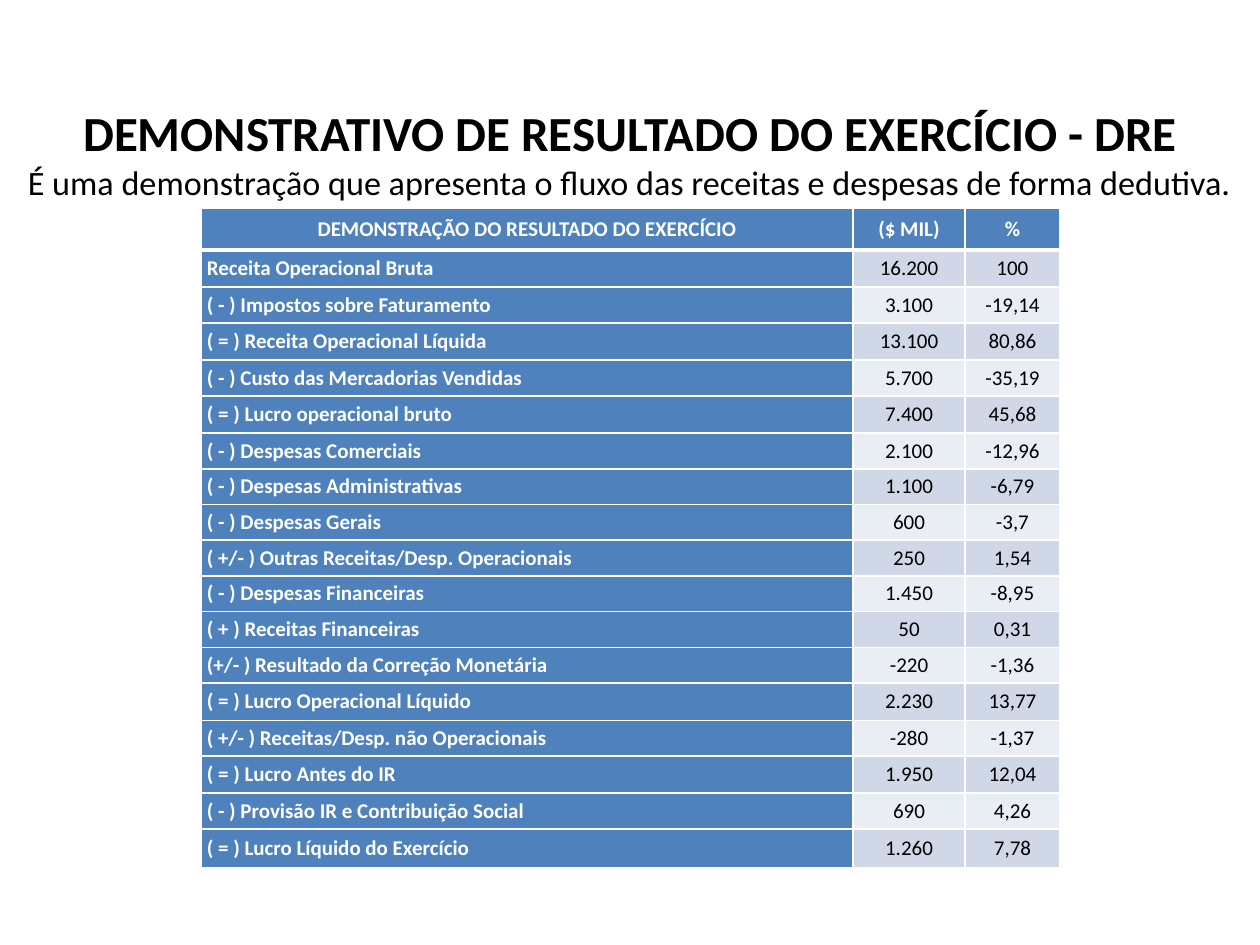
import dataclasses
import typing

import lxml.etree
import pptx
import pptx.dml.color
import pptx.enum.text
import pptx.oxml.ns
import pptx.util

Cm = pptx.util.Cm
Pt = pptx.util.Pt
Align = pptx.enum.text.PP_ALIGN
Anchor = pptx.enum.text.MSO_ANCHOR


@dataclasses.dataclass(frozen=True)
class Theme:
    font: str = "Calibri"
    black: str = "000000"
    white: str = "FFFFFF"
    blue: str = "4F81BD"
    bands: tuple[str, str] = ("D0D8E8", "E9EDF4")
    title_size: float = 28
    subtitle_size: float = 19.5
    table_size: float = 12
    border: float = 1
    header_border: float = 3


class Entry(typing.NamedTuple):
    label: str
    amount: str
    percent: str


THEME = Theme()
TITLE = "DEMONSTRATIVO DE RESULTADO DO EXERCÍCIO - DRE"
SUBTITLE = "É uma demonstração que apresenta o fluxo das receitas e despesas de forma dedutiva."
COLUMN_WIDTHS = (13.15, 2.25, 1.92)
HEADER_HEIGHT, TOTAL_HEIGHT, ITEM_HEIGHT, LAST_HEIGHT = 0.84, 0.75, 0.72, 0.79

HEADER = Entry("DEMONSTRAÇÃO DO RESULTADO DO EXERCÍCIO", "($ MIL)", "%")
ENTRIES = [
    Entry("Receita Operacional Bruta", "16.200", "100"),
    Entry("( - ) Impostos sobre Faturamento", "3.100", "-19,14"),
    Entry("( = ) Receita Operacional Líquida", "13.100", "80,86"),
    Entry("( - ) Custo das Mercadorias Vendidas", "5.700", "-35,19"),
    Entry("( = ) Lucro operacional bruto", "7.400", "45,68"),
    Entry("( - ) Despesas Comerciais", "2.100", "-12,96"),
    Entry("( - ) Despesas Administrativas", "1.100", "-6,79"),
    Entry("( - ) Despesas Gerais", "600", "-3,7"),
    Entry("( +/- ) Outras Receitas/Desp. Operacionais", "250", "1,54"),
    Entry("( - ) Despesas Financeiras", "1.450", "-8,95"),
    Entry("( + ) Receitas Financeiras", "50", "0,31"),
    Entry("(+/- ) Resultado da Correção Monetária", "-220", "-1,36"),
    Entry("( = ) Lucro Operacional Líquido", "2.230", "13,77"),
    Entry("( +/- ) Receitas/Desp. não Operacionais", "-280", "-1,37"),
    Entry("( = ) Lucro Antes do IR", "1.950", "12,04"),
    Entry("( - ) Provisão IR e Contribuição Social", "690", "4,26"),
    Entry("( = ) Lucro Líquido do Exercício", "1.260", "7,78"),
]


def format_para(para, size: float, color: str, bold: bool, align) -> None:
    para.alignment = align
    for span in para.runs:
        span.font.name = THEME.font
        span.font.size = Pt(size)
        span.font.bold = bold
        span.font.color.rgb = pptx.dml.color.RGBColor.from_string(color)


def set_borders(cell, top: float, bottom: float) -> None:
    properties = cell._tc.get_or_add_tcPr()
    widths = {"lnL": THEME.border, "lnR": THEME.border, "lnT": top, "lnB": bottom}
    for position, (tag, width) in enumerate(widths.items()):
        line = lxml.etree.Element(pptx.oxml.ns.qn(f"a:{tag}"), w=str(Pt(width)))
        fill = lxml.etree.SubElement(line, pptx.oxml.ns.qn("a:solidFill"))
        lxml.etree.SubElement(fill, pptx.oxml.ns.qn("a:srgbClr"), val=THEME.white)
        properties.insert(position, line)


def row_height(row: int) -> float:
    if row == 0:
        return HEADER_HEIGHT
    if row == len(ENTRIES):
        return LAST_HEIGHT
    is_total = row == 1 or ENTRIES[row - 1].label.startswith("( = )")
    return TOTAL_HEIGHT if is_total else ITEM_HEIGHT


def fill_cell(cell, text: str, row: int, column: int) -> None:
    strong = row == 0 or column == 0
    background = THEME.blue if strong else THEME.bands[(row - 1) % 2]
    cell.fill.solid()
    cell.fill.fore_color.rgb = pptx.dml.color.RGBColor.from_string(background)
    cell.margin_left = cell.margin_right = Cm(0.12)
    cell.margin_top = cell.margin_bottom = 0
    cell.vertical_anchor = Anchor.MIDDLE
    cell.text_frame.text = text
    align = Align.JUSTIFY if column == 0 and row > 0 else Align.CENTER
    color = THEME.white if strong else THEME.black
    format_para(cell.text_frame.paragraphs[0], THEME.table_size, color, strong, align)
    set_borders(
        cell,
        top=THEME.header_border if row == 1 else THEME.border,
        bottom=THEME.header_border if row == 0 else THEME.border,
    )


def add_title(page) -> None:
    box = page.shapes.title
    box.left, box.top, box.width, box.height = 0, Cm(1.93), Cm(25.4), Cm(2.26)
    frame = box.text_frame
    frame.text = f"{TITLE}\n{SUBTITLE}"
    frame.word_wrap = True
    frame.vertical_anchor = Anchor.TOP
    frame.auto_size = pptx.enum.text.MSO_AUTO_SIZE.SHAPE_TO_FIT_TEXT
    heading, subtitle = frame.paragraphs
    format_para(heading, THEME.title_size, THEME.black, True, Align.CENTER)
    format_para(subtitle, THEME.subtitle_size, THEME.black, False, Align.CENTER)


def add_statement(page) -> None:
    rows = [HEADER, *ENTRIES]
    heights = [row_height(row) for row in range(len(rows))]
    table = page.shapes.add_table(
        len(rows), len(COLUMN_WIDTHS), Cm(4.05), Cm(4.2),
        Cm(sum(COLUMN_WIDTHS)), Cm(sum(heights)),
    ).table
    table.first_col = True
    for column, width in zip(table.columns, COLUMN_WIDTHS):
        column.width = Cm(width)
    for row, (entry, height) in enumerate(zip(rows, heights)):
        table.rows[row].height = Cm(height)
        for column, text in enumerate(entry):
            fill_cell(table.cell(row, column), text, row, column)


def main() -> None:
    deck = pptx.Presentation()
    deck.slide_width, deck.slide_height = Cm(25.4), Cm(19.05)
    page = deck.slides.add_slide(deck.slide_layouts[5])
    # Heading with its explanation
    add_title(page)
    # Income statement
    add_statement(page)
    deck.save("out.pptx")


if __name__ == "__main__":
    main()
